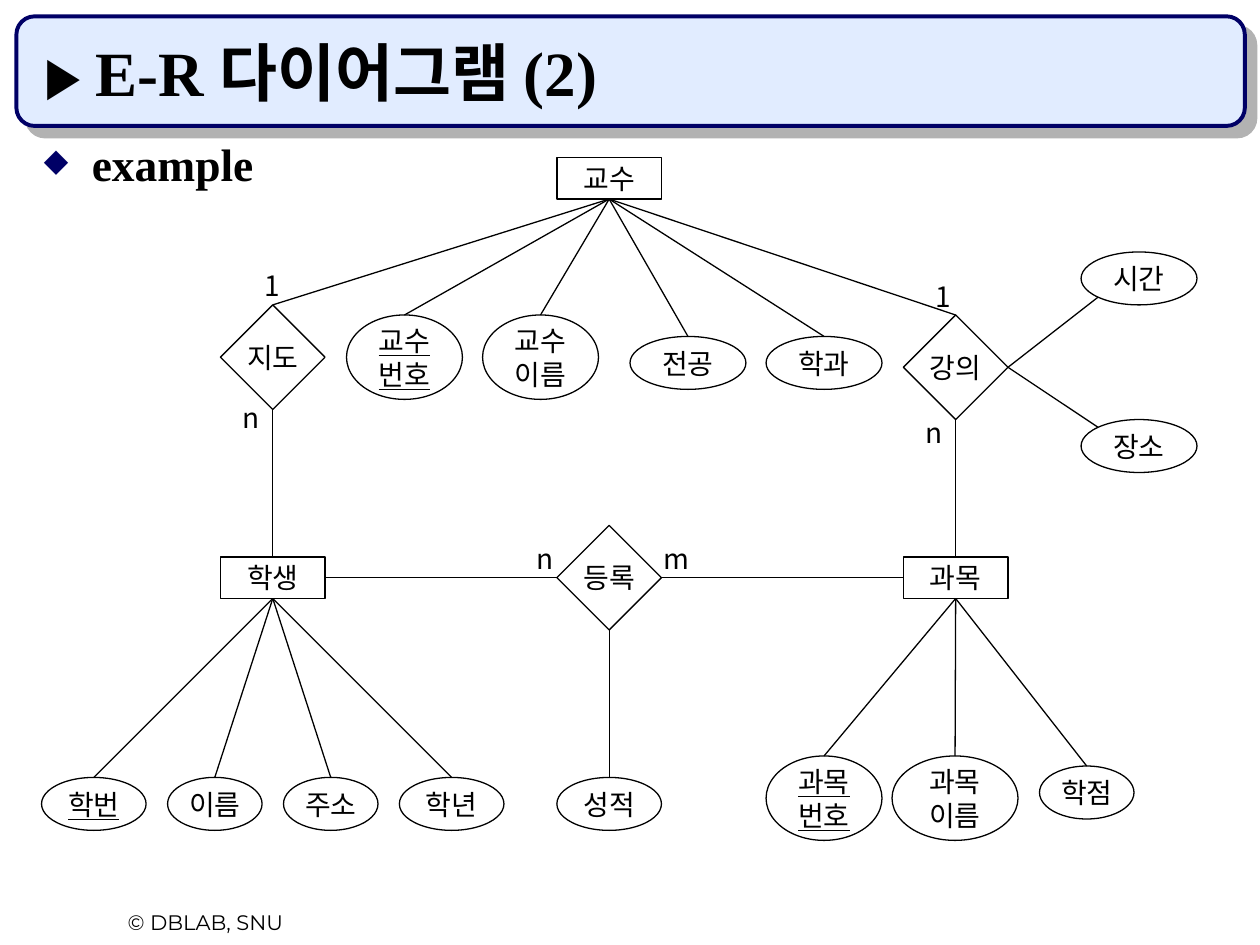
from lxml import etree
from pptx import Presentation
from pptx.dml.color import RGBColor
from pptx.enum.shapes import MSO_CONNECTOR, MSO_SHAPE
from pptx.enum.text import MSO_ANCHOR, MSO_AUTO_SIZE, PP_ALIGN
from pptx.oxml.ns import qn
from pptx.util import Inches, Pt

RECTANGLE = MSO_SHAPE.RECTANGLE
DIAMOND = MSO_SHAPE.DIAMOND
OVAL = MSO_SHAPE.OVAL
ROUNDED = MSO_SHAPE.ROUNDED_RECTANGLE
STRAIGHT = MSO_CONNECTOR.STRAIGHT
CENTER = PP_ALIGN.CENTER
LEFT = PP_ALIGN.LEFT

COLORS = {"black": "000000", "navy": "000066", "band": "E1ECFF", "shadow": "B2B2B2"}
KOREAN = "Noto Sans CJK KR"
SERIF = "Times New Roman"
SANS = "Montserrat"

TOP, SIDE_LEFT, BOTTOM, SIDE_RIGHT = range(4)
OVAL_TOP, OVAL_TOP_LEFT, OVAL_BOTTOM_LEFT = 0, 1, 3

NODES = {
    "professor": (RECTANGLE, "교수", 4.42, 1.25, 0.83, 0.33),
    "student": (RECTANGLE, "학생", 1.75, 4.42, 0.83, 0.33),
    "course": (RECTANGLE, "과목", 7.17, 4.42, 0.83, 0.33),
    "enrols": (DIAMOND, "등록", 4.42, 4.17, 0.83, 0.83),
    "advises": (DIAMOND, "지도", 1.75, 2.42, 0.83, 0.83),
    "teaches": (DIAMOND, "강의", 7.17, 2.5, 0.83, 0.83),
    "professor number": (OVAL, "교수\n번호", 2.75, 2.5, 0.92, 0.67),
    "professor name": (OVAL, "교수\n이름", 3.83, 2.5, 0.92, 0.67),
    "major": (OVAL, "전공", 5, 2.67, 0.92, 0.42),
    "department": (OVAL, "학과", 6.08, 2.67, 0.92, 0.42),
    "time": (OVAL, "시간", 8.58, 2, 0.92, 0.42),
    "place": (OVAL, "장소", 8.58, 3.33, 0.92, 0.42),
    "student number": (OVAL, "학번", 0.33, 6.17, 0.83, 0.42),
    "student name": (OVAL, "이름", 1.33, 6.17, 0.75, 0.42),
    "address": (OVAL, "주소", 2.25, 6.17, 0.75, 0.42),
    "year": (OVAL, "학년", 3.17, 6.17, 0.83, 0.42),
    "course number": (OVAL, "과목\n번호", 6.08, 6, 0.92, 0.67),
    "course name": (OVAL, "과목\n이름", 7.08, 6, 1, 0.67),
    "credits": (OVAL, "학점", 8.25, 6.08, 0.75, 0.42),
    "grade": (OVAL, "성적", 4.42, 6.17, 0.83, 0.42),
}
KEYS = {"professor number", "student number", "course number"}

FANS = {
    "professor": ["advises", "professor number", "professor name", "major", "department", "teaches"],
    "student": ["student number", "student name", "address", "year"],
    "enrols": ["grade"],
    "course": ["course number", "course name", "credits"],
}
LINKS = [
    ("advises", BOTTOM, "student", TOP),
    ("teaches", BOTTOM, "course", TOP),
    ("enrols", SIDE_LEFT, "student", SIDE_RIGHT),
    ("enrols", SIDE_RIGHT, "course", SIDE_LEFT),
    ("teaches", SIDE_RIGHT, "time", OVAL_BOTTOM_LEFT),
    ("teaches", SIDE_RIGHT, "place", OVAL_TOP_LEFT),
]
CARDINALITIES = [
    ("n", 4.16, 4.25),
    ("m", 5.17, 4.25),
    ("n", 7.25, 3.25),
    ("1", 7.33, 2.17),
    ("1", 2, 2.08),
    ("n", 1.83, 3.13),
]


def color(name):
    return RGBColor.from_string(COLORS[name])


def style_font(font, name, size, bold=False, underline=False):
    font.name = name
    font.size = Pt(size)
    font.bold = bold
    font.underline = underline
    font.color.rgb = color("black")
    etree.SubElement(font._element, qn("a:ea"), typeface=name)


def add_band(slide):
    band = slide.shapes.add_shape(ROUNDED, Inches(0.13), Inches(0.13), Inches(9.75), Inches(0.87))
    band.fill.solid()
    band.fill.fore_color.rgb = color("band")
    band.line.color.rgb = color("navy")
    band.line.width = Pt(2.25)
    band.shadow.inherit = False
    effects = band.element.spPr.find(qn("a:effectLst"))
    shadow = etree.SubElement(effects, qn("a:outerShdw"), dist=str(Pt(8.5)), dir="2700000",
                              algn="ctr", rotWithShape="0")
    etree.SubElement(shadow, qn("a:srgbClr"), val=COLORS["shadow"])
    slide.shapes.title.element.addprevious(band.element)


def format_title(slide):
    title = slide.shapes.title
    title.left, title.top = Inches(0.25), Inches(0.25)
    title.width, title.height = Inches(9.42), Inches(0.67)
    frame = title.text_frame
    frame.auto_size = MSO_AUTO_SIZE.NONE
    frame.vertical_anchor = MSO_ANCHOR.BOTTOM
    paragraph = frame.paragraphs[0]
    paragraph.alignment = LEFT
    parts = [("▶ ", SERIF, 32), ("E-R ", SERIF, 36), ("다이어그램 ", KOREAN, 36), ("(2)", SERIF, 36)]
    for text, font_name, size in parts:
        run = paragraph.add_run()
        run.text = text
        style_font(run.font, font_name, size, bold=True)


def add_text(slide, text, left, top, width, height, font_name, size,
             alignment=LEFT, bold=False, bullet=None):
    box = slide.shapes.add_textbox(Inches(left), Inches(top), Inches(width), Inches(height))
    box.text_frame.word_wrap = True
    paragraph = box.text_frame.paragraphs[0]
    paragraph.text = text
    paragraph.alignment = alignment
    if bullet:
        add_bullet(paragraph, bullet)
    style_font(paragraph.font, font_name, size, bold)


def add_bullet(paragraph, character):
    paragraph.line_spacing = 0.9
    properties = paragraph._p.get_or_add_pPr()
    properties.set("marL", str(Inches(0.38)))
    properties.set("indent", str(-Inches(0.38)))
    bullet_color = etree.SubElement(properties, qn("a:buClr"))
    etree.SubElement(bullet_color, qn("a:srgbClr"), val=COLORS["navy"])
    etree.SubElement(properties, qn("a:buSzPct"), val="70000")
    etree.SubElement(properties, qn("a:buChar"), char=character)


def add_node(slide, kind, text, left, top, width, height, is_key):
    shape = slide.shapes.add_shape(kind, Inches(left), Inches(top), Inches(width), Inches(height))
    shape.shadow.inherit = False
    shape.fill.background()
    shape.line.color.rgb = color("black")
    shape.line.width = Pt(0.75)
    frame = shape.text_frame
    frame.word_wrap = False
    frame.vertical_anchor = MSO_ANCHOR.MIDDLE
    frame.text = text
    for paragraph in frame.paragraphs:
        paragraph.alignment = CENTER
        style_font(paragraph.font, KOREAN, 16, underline=is_key)
    return shape


def connect(slide, start, start_site, end, end_site):
    connector = slide.shapes.add_connector(STRAIGHT, 0, 0, 0, 0)
    connector.begin_connect(start, start_site)
    connector.end_connect(end, end_site)
    if end_site in (OVAL_TOP_LEFT, OVAL_BOTTOM_LEFT) and end.auto_shape_type == OVAL:
        inset = 0.146
        share = inset if end_site == OVAL_TOP_LEFT else 1 - inset
        connector.end_x = end.left + int(end.width * inset)
        connector.end_y = end.top + int(end.height * share)
    connector.line.color.rgb = color("black")
    connector.line.width = Pt(0.75)
    etree.SubElement(connector.element.spPr, qn("a:effectLst"))


def main():
    presentation = Presentation()
    presentation.slide_width, presentation.slide_height = Inches(10), Inches(7.5)
    slide = presentation.slides.add_slide(presentation.slide_layouts[5])
    add_band(slide)
    format_title(slide)
    add_text(slide, "© DBLAB, SNU", 0.42, 7.17, 2.42, 0.3, SANS, 12, alignment=CENTER)
    add_text(slide, "example", 0.25, 1.08, 9.42, 0.5, SERIF, 26, bold=True, bullet="◆")
    nodes = {name: add_node(slide, *node, name in KEYS) for name, node in NODES.items()}
    for parent, children in FANS.items():
        for child in children:
            connect(slide, nodes[parent], BOTTOM, nodes[child], OVAL_TOP)
    for start, start_site, end, end_site in LINKS:
        connect(slide, nodes[start], start_site, nodes[end], end_site)
    for text, left, top in CARDINALITIES:
        add_text(slide, text, left, top, 0.42, 0.37, KOREAN, 16)
    presentation.save("out.pptx")


if __name__ == "__main__":
    main()
